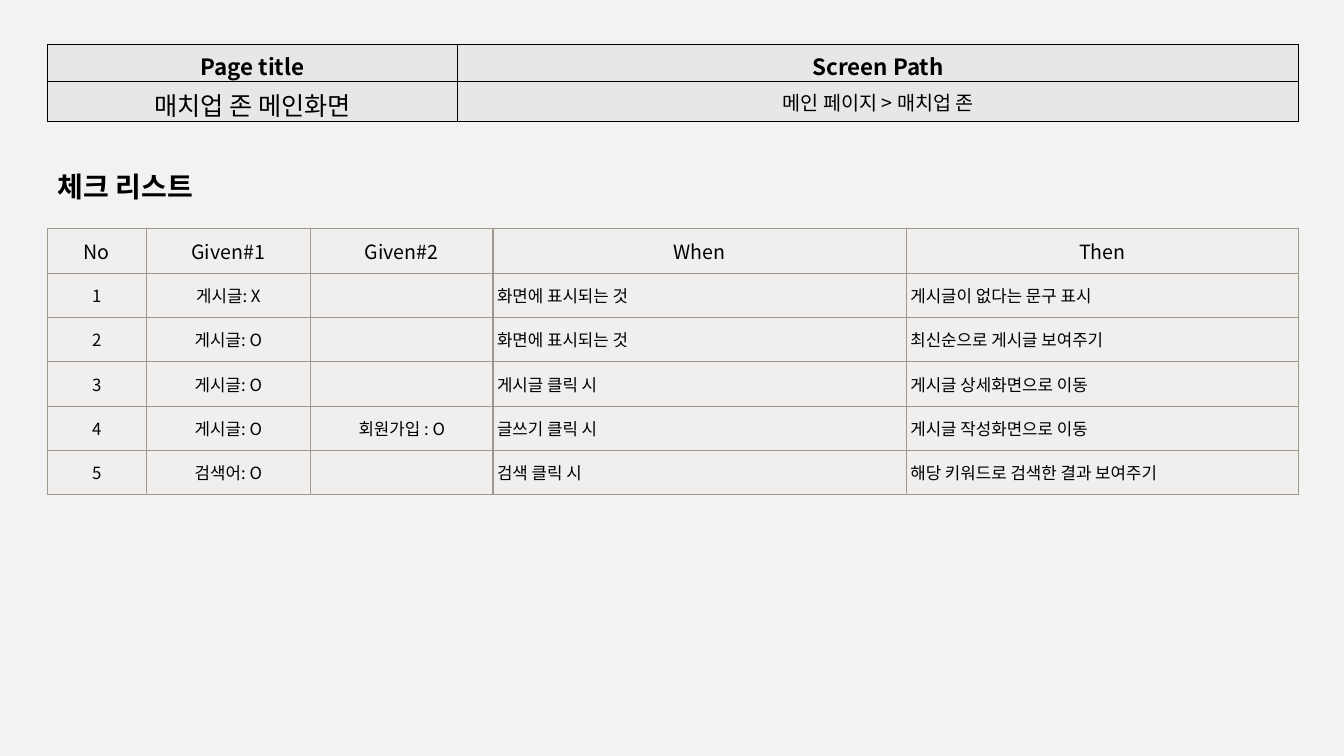
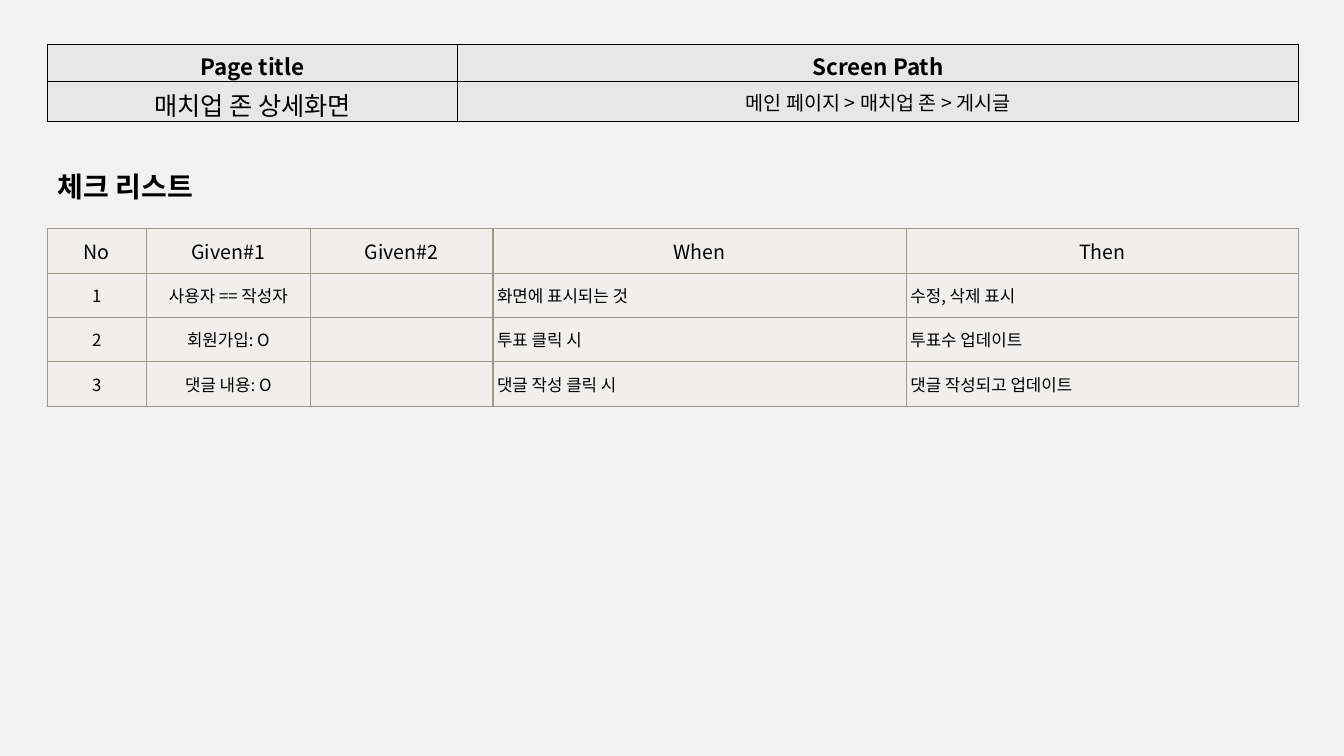
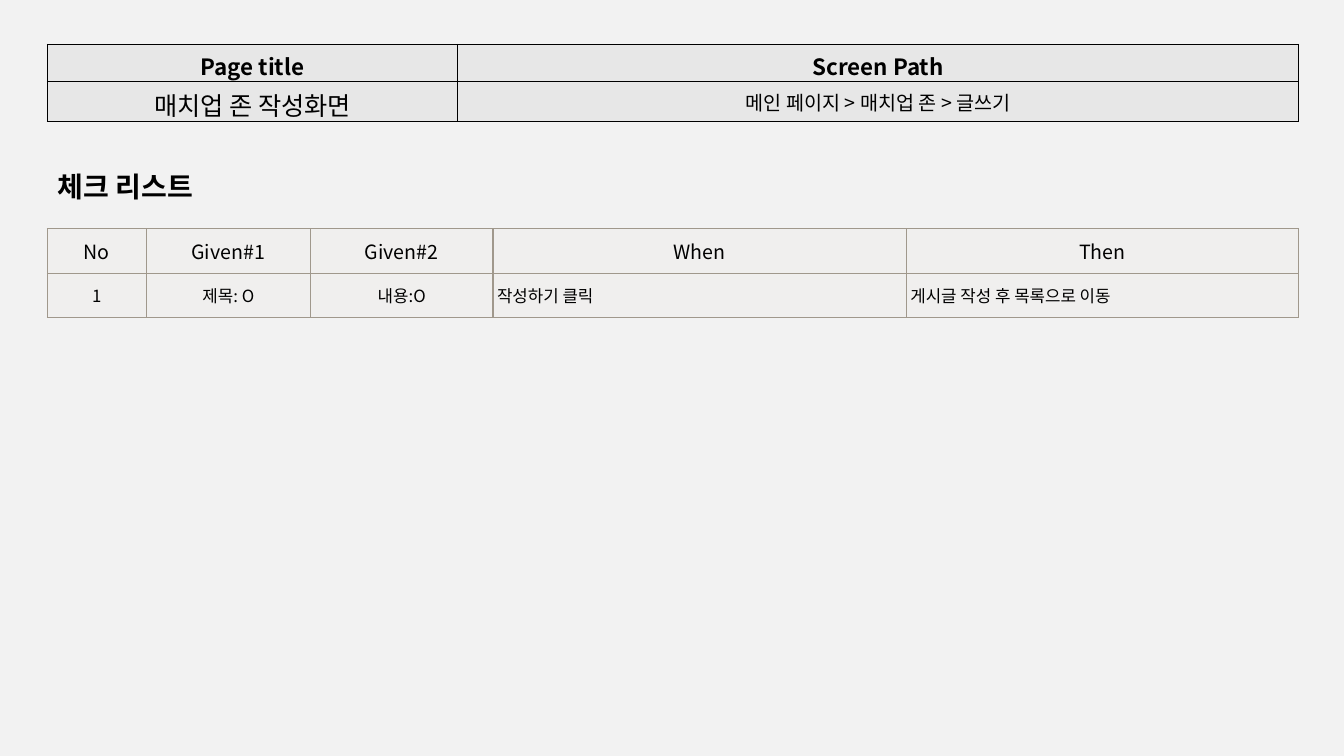
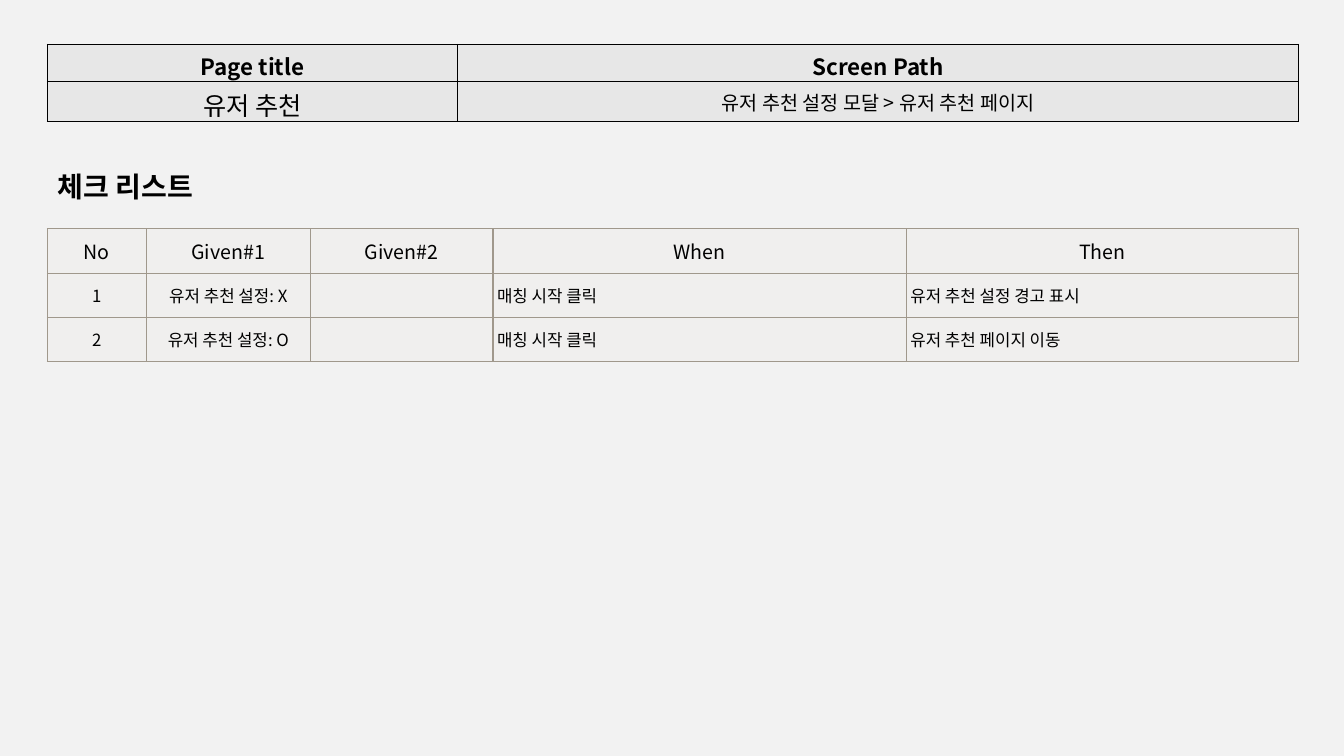
"""Build the match-up zone checklist deck."""
from dataclasses import dataclass

from lxml.etree import SubElement
from pptx import Presentation
from pptx.dml.color import RGBColor
from pptx.enum.text import MSO_ANCHOR, MSO_AUTO_SIZE, PP_ALIGN
from pptx.oxml.ns import qn
from pptx.util import Inches, Pt


@dataclass(frozen=True)
class Theme:
    font: str = "Noto Sans CJK KR"
    ink: str = "000000"
    background: str = "F2F2F2"
    header_fill: str = "E7E7E7"
    list_fill: str = "F0EFEE"
    list_border: str = "A0988C"
    border_points: float = 1
    heading_size: int = 20
    page_name_size: int = 18
    label_size: int = 16
    column_size: int = 14
    body_size: int = 12


COLUMNS = ("No", "Given#1", "Given#2", "When", "Then")
PAGES = (
    ("매치업 존 메인화면", "메인 페이지 > 매치업 존", (
        ("게시글: X", "", "화면에 표시되는 것", "게시글이 없다는 문구 표시"),
        ("게시글: O", "", "화면에 표시되는 것", "최신순으로 게시글 보여주기"),
        ("게시글: O", "", "게시글 클릭 시", "게시글 상세화면으로 이동"),
        ("게시글: O", "회원가입 : O", "글쓰기 클릭 시", "게시글 작성화면으로 이동"),
        ("검색어: O", "", "검색 클릭 시", "해당 키워드로 검색한 결과 보여주기"),
    )),
    ("매치업 존 상세화면", "메인 페이지 > 매치업 존 > 게시글", (
        ("사용자 == 작성자", "", "화면에 표시되는 것", "수정, 삭제 표시"),
        ("회원가입: O", "", "투표 클릭 시", "투표수 업데이트"),
        ("댓글 내용: O", "", "댓글 작성 클릭 시", "댓글 작성되고 업데이트"),
    )),
    ("매치업 존 작성화면", "메인 페이지 > 매치업 존 > 글쓰기", (
        ("제목: O", "내용:O", "작성하기 클릭", "게시글 작성 후 목록으로 이동"),
    )),
    ("유저 추천", "유저 추천 설정 모달 > 유저 추천 페이지", (
        ("유저 추천 설정: X", "", "매칭 시작 클릭", "유저 추천 설정 경고 표시"),
        ("유저 추천 설정: O", "", "매칭 시작 클릭", "유저 추천 페이지 이동"),
    )),
)


class ChecklistDeck:
    def __init__(self, theme):
        self.theme = theme
        self.page = None
        self.deck = Presentation()
        self.deck.slide_width = Inches(13.33)
        self.deck.slide_height = Inches(7.5)
        fill = self.deck.slide_master.background.fill
        fill.solid()
        fill.fore_color.rgb = RGBColor.from_string(theme.background)

    def add_page(self):
        self.page = self.deck.slides.add_slide(self.deck.slide_layouts[5])

    def add_text(self, frame, text, size, bold=False, align=PP_ALIGN.CENTER):
        para = frame.paragraphs[0]
        para.alignment = align
        if not text:
            return
        span = para.add_run()
        span.text = text
        span.font.size = Pt(size)
        span.font.bold = bold
        span.font.color.rgb = RGBColor.from_string(self.theme.ink)
        span.font.name = self.theme.font
        SubElement(span._r.get_or_add_rPr(), qn("a:ea"), typeface=self.theme.font)

    def add_heading(self, text):
        box = self.page.shapes.title
        box.left, box.top = Inches(0.47), Inches(1.63)
        box.width, box.height = Inches(3.01), Inches(0.44)
        frame = box.text_frame
        frame.word_wrap = True
        frame.auto_size = MSO_AUTO_SIZE.SHAPE_TO_FIT_TEXT
        frame.vertical_anchor = MSO_ANCHOR.TOP
        self.add_text(frame, text, self.theme.heading_size, True, PP_ALIGN.LEFT)

    def add_grid(self, top, widths, heights):
        frame = self.page.shapes.add_table(
            len(heights), len(widths), Inches(0.47), Inches(top),
            Inches(sum(widths)), Inches(sum(heights)))
        table = frame.table
        table.first_row = table.horz_banding = False
        for column, width in zip(table.columns, widths):
            column.width = Inches(width)
        for row, height in zip(table.rows, heights):
            row.height = Inches(height)
        return table

    def style_cell(self, cell, fill, border, margin_x, margin_y):
        cell.vertical_anchor = MSO_ANCHOR.MIDDLE
        cell.margin_left = cell.margin_right = Inches(margin_x)
        cell.margin_top = cell.margin_bottom = Inches(margin_y)
        properties = cell._tc.get_or_add_tcPr()
        for side in ("lnL", "lnR", "lnT", "lnB"):
            line = SubElement(properties, qn(f"a:{side}"),
                              w=str(Pt(self.theme.border_points)))
            solid = SubElement(line, qn("a:solidFill"))
            SubElement(solid, qn("a:srgbClr"), val=border)
        cell.fill.solid()
        cell.fill.fore_color.rgb = RGBColor.from_string(fill)

    def add_page_header(self, name, route):
        theme = self.theme
        table = self.add_grid(0.44, (4.07, 8.34), (0.22, 0.19))
        rows = (
            (("Page title", theme.label_size), ("Screen Path", theme.label_size)),
            ((name, theme.page_name_size), (route, theme.column_size)),
        )
        for row_index, row in enumerate(rows):
            for column_index, (text, size) in enumerate(row):
                cell = table.cell(row_index, column_index)
                self.style_cell(cell, theme.header_fill, theme.ink, 0.11, 0.05)
                self.add_text(cell.text_frame, text, size, bold=row_index == 0)

    def add_checklist(self, checks):
        theme = self.theme
        rows = [COLUMNS]
        rows += [(str(number), *check) for number, check in enumerate(checks, 1)]
        table = self.add_grid(2.27, (0.98, 1.63, 1.81, 4.1, 3.89), [0.44] * len(rows))
        for row_index, row in enumerate(rows):
            is_header = row_index == 0
            size = theme.column_size if is_header else theme.body_size
            margin_y = 0.02 if is_header else 0.01
            for column_index, text in enumerate(row):
                cell = table.cell(row_index, column_index)
                self.style_cell(cell, theme.list_fill, theme.list_border, 0.04, margin_y)
                centered = is_header or column_index < 3
                align = PP_ALIGN.CENTER if centered else PP_ALIGN.LEFT
                self.add_text(cell.text_frame, text, size, align=align)


def main():
    builder = ChecklistDeck(Theme())
    for name, route, checks in PAGES:
        builder.add_page()
        builder.add_page_header(name, route)
        builder.add_checklist(checks)
        builder.add_heading("체크 리스트")
    builder.deck.save("out.pptx")


if __name__ == "__main__":
    main()
